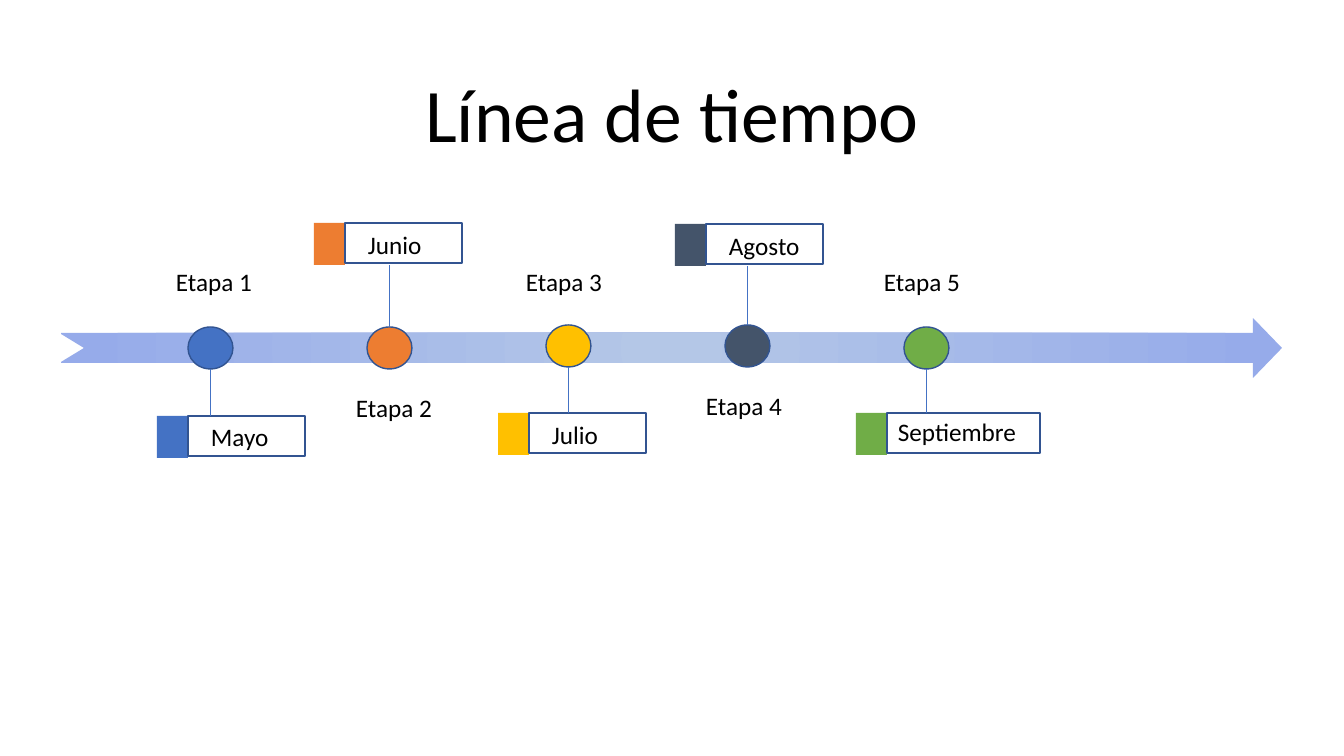
"""Build a five-stage timeline slide."""
import pptx
import pptx.util
import pptx.dml.color
import pptx.enum.shapes
import pptx.enum.text
from lxml import etree

TITLE = "Línea de tiempo"
FONT = "Calibri"
OUTLINE, CONNECTOR = "325491", "4472C4"
STAGES = [
    dict(name="Etapa 1", month="Mayo", color="4472C4", dot_y=327, name_at=(166, 261),
         tag_at=(157, 416), box_w=117, month_shift=(13, 0)),
    dict(name="Etapa 2", month="Junio", color="ED7D31", dot_y=327, name_at=(346, 387),
         tag_at=(314, 223), box_w=117, month_shift=(13, 1)),
    dict(name="Etapa 3", month="Julio", color="FFC000", dot_y=325, name_at=(516, 261),
         tag_at=(498, 413), box_w=117, month_shift=(13, 1)),
    dict(name="Etapa 4", month="Agosto", color="44546A", dot_y=325, name_at=(696, 385),
         tag_at=(675, 224), box_w=117, month_shift=(13, 1)),
    dict(name="Etapa 5", month="Septiembre", color="70AD47", dot_y=327, name_at=(874, 261),
         tag_at=(856, 413), box_w=153, month_shift=(1, -2)),
]
ARROW = [(1253, 318), (1282, 348), (1253, 378), (1253, 363), (61, 363), (61, 362),
         (84, 348), (61, 334), (61, 333), (1253, 333)]
ARROW_STOPS = [("B4C7E7", 0.02), ("96ABEA", 0.97)]
DOT_X, DOT_PITCH, DOT_W, DOT_H = 188, 179, 45, 42
SWATCH_W, SWATCH_H, BOX_H = 31, 42, 40
TEXT_W, TEXT_H = 104, 40
SCALE = 914400 / 100.8
SHAPES = pptx.enum.shapes.MSO_SHAPE


def px(n):
    return pptx.util.Emu(round(n * SCALE))


def rgb(color):
    return pptx.dml.color.RGBColor.from_string(color)


def add_shape(kind, x, y, w, h, fill=None, line=None):
    sp = s.shapes.add_shape(kind, px(x), px(y), px(w), px(h))
    sp.shadow.inherit = False
    if fill:
        sp.fill.solid()
        sp.fill.fore_color.rgb = rgb(fill)
    else:
        sp.fill.background()
    if line:
        sp.line.color.rgb = rgb(line)
        sp.line.width = pptx.util.Pt(1)
    else:
        sp.line.fill.background()


def add_text(text, x, y, w, h, size=18, wrap=True, align=pptx.enum.text.PP_ALIGN.LEFT):
    tf = s.shapes.add_textbox(px(x), px(y), px(w), px(h)).text_frame
    tf.word_wrap = wrap
    tf.auto_size = pptx.enum.text.MSO_AUTO_SIZE.SHAPE_TO_FIT_TEXT
    tf.text = text
    p = tf.paragraphs[0]
    p.alignment = align
    r = p.runs[0]
    r.font.name = FONT
    r.font.size = pptx.util.Pt(size)
    r.font.color.rgb = rgb("000000")


def add_line(x, top, bottom):
    line = s.shapes.add_connector(pptx.enum.shapes.MSO_CONNECTOR.STRAIGHT,
                                  px(x), px(top), px(x), px(bottom))
    line.line.color.rgb = rgb(CONNECTOR)
    line.line.width = pptx.util.Pt(0.5)
    etree.SubElement(line.element.spPr, pptx.oxml.ns.qn("a:effectLst"))


def add_arrow():
    builder = s.shapes.build_freeform(*ARROW[0], scale=SCALE)
    builder.add_line_segments(ARROW[1:], close=True)
    sp = builder.convert_to_shape()
    sp.shadow.inherit = False
    sp.line.fill.background()
    sp.fill.gradient()
    for stop, (color, position) in zip(sp.fill.gradient_stops, ARROW_STOPS):
        stop.color.rgb = rgb(color)
        stop.position = position
    qn = pptx.oxml.ns.qn
    grad = sp.element.spPr.find(qn("a:gradFill"))
    lin = grad.find(qn("a:lin"))
    radial = etree.Element(qn("a:path"), {"path": "circle"})
    etree.SubElement(radial, qn("a:fillToRect"), dict.fromkeys("ltrb", "50000"))
    grad.replace(lin, radial)


prs = pptx.Presentation()
prs.slide_width, prs.slide_height = px(1344), px(756)
s = prs.slides.add_slide(prs.slide_layouts[6])

add_arrow()
add_text(TITLE, 412, 62, 520, 102, 54, False, pptx.enum.text.PP_ALIGN.CENTER)
for i, stage in enumerate(STAGES):
    dot_x, dot_y = DOT_X + i * DOT_PITCH, stage["dot_y"]
    tag_x, tag_y = stage["tag_at"]
    box_x, box_w = tag_x + SWATCH_W, stage["box_w"]
    dx, dy = stage["month_shift"]
    add_shape(SHAPES.OVAL, dot_x, dot_y, DOT_W, DOT_H, stage["color"], OUTLINE)
    add_text(stage["name"], *stage["name_at"], TEXT_W, TEXT_H)
    add_shape(SHAPES.RECTANGLE, tag_x, tag_y, SWATCH_W, SWATCH_H, stage["color"])
    add_text(stage["month"], box_x + dx, tag_y + dy, box_w - dx, TEXT_H)
    add_shape(SHAPES.RECTANGLE, box_x, tag_y, box_w, BOX_H, line=OUTLINE)
    if tag_y > dot_y:
        top, bottom = dot_y + DOT_H, tag_y
    else:
        top, bottom = tag_y + SWATCH_H, dot_y
    add_line(dot_x + DOT_W / 2, top, bottom)

prs.save("out.pptx")
